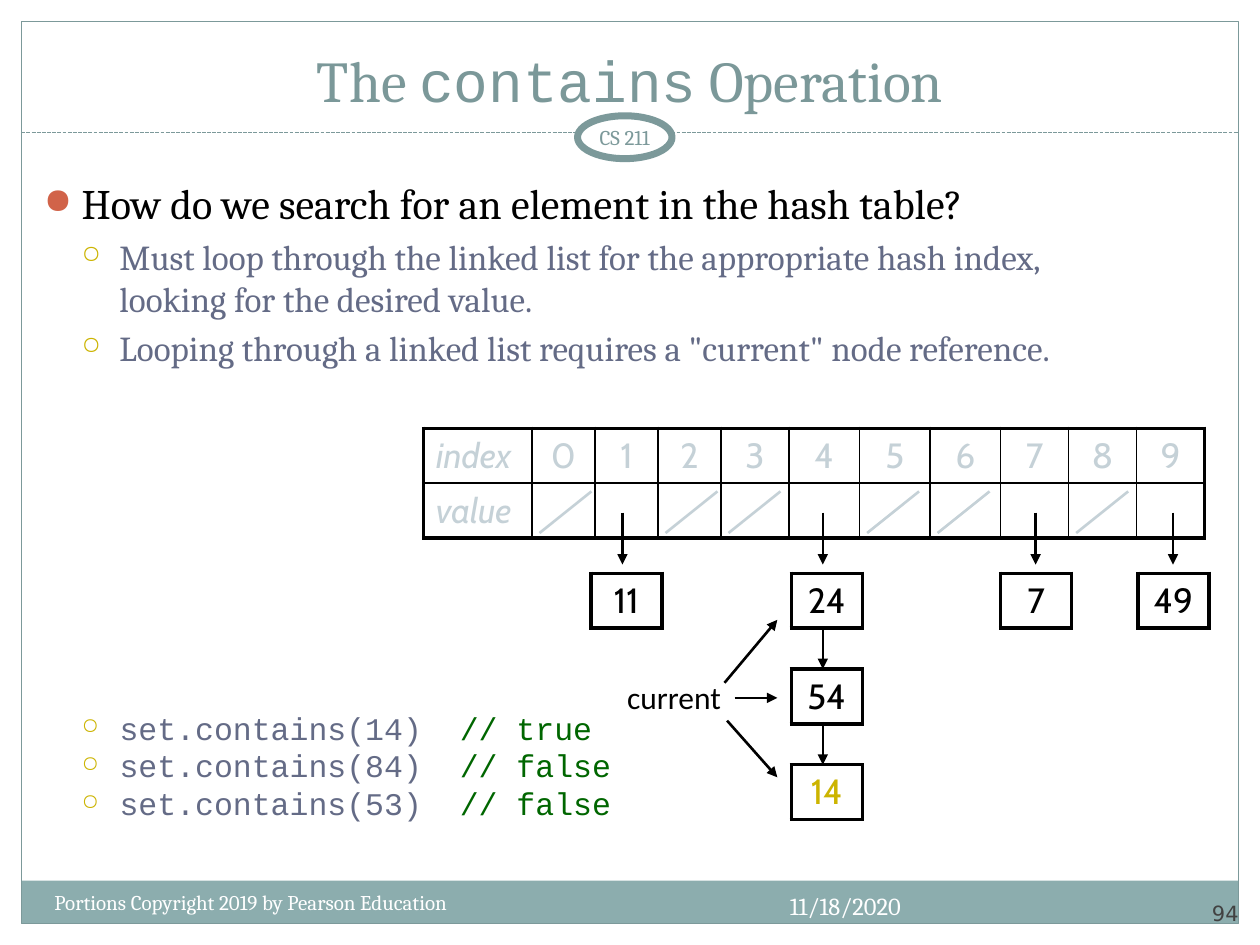
from lxml import etree
from pptx import Presentation
from pptx.dml.color import RGBColor
from pptx.enum.dml import MSO_LINE
from pptx.enum.shapes import MSO_CONNECTOR, MSO_SHAPE
from pptx.enum.text import MSO_ANCHOR, PP_ALIGN
from pptx.oxml.ns import qn
from pptx.util import Pt

STRAIGHT = MSO_CONNECTOR.STRAIGHT
RECTANGLE, OVAL = MSO_SHAPE.RECTANGLE, MSO_SHAPE.OVAL
DASH = MSO_LINE.SQUARE_DOT
LEFT, CENTER, RIGHT = PP_ALIGN.LEFT, PP_ALIGN.CENTER, PP_ALIGN.RIGHT
TOP, MIDDLE, BOTTOM = MSO_ANCHOR.TOP, MSO_ANCHOR.MIDDLE, MSO_ANCHOR.BOTTOM

BLACK, WHITE, SAGE, TITLE_SAGE, BAND = "000000", "FFFFFF", "7C999A", "7B9899", "8CADAE"
SLATE, GOLD, RUST, PALE, GREEN, GRAY = "646B86", "CCB400", "D16349", "C5D1D7", "006600", "424242"
SERIF, MONO, ROUND = "Cambria", "Courier New", "Cabin"

COLUMNS = [62] + [36] * 3 + [38.9] + [40.3] * 3 + [38.9] * 3
ROW = 31.3
NODE_WIDTH = 40.5
EMPTY_BUCKETS = [0, 2, 3, 5, 6, 8]
CHAINS = [(113.7, 18, ["11"]), (228.2, 18, ["24", "54", "14"]),
          (349.8, 20, ["7"]), (428.3, 20, ["49"])]
CALLS = [("set.contains(14)", "  // true"), ("set.contains(84)", "  // false"),
         ("set.contains(53)", "  // false")]


def rgb(value):
    """Return the colour for a hex string."""
    return RGBColor.from_string(value)


def style(runs, size, font, color, italic=False):
    """Format a sequence of runs alike."""
    for run in runs:
        run.font.size, run.font.name, run.font.italic = Pt(size), font, italic
        run.font.color.rgb = rgb(color)


def add_text(slide, box, words, size, font, color, align=LEFT, anchor=TOP, inset=(7.2, 3.6), wrap=True):
    """Add a text box with one paragraph and return its frame."""
    frame = slide.shapes.add_textbox(*map(Pt, box)).text_frame
    frame.word_wrap, frame.vertical_anchor = wrap, anchor
    frame.margin_left = frame.margin_right = Pt(inset[0])
    frame.margin_top = frame.margin_bottom = Pt(inset[1])
    frame.text = words
    frame.paragraphs[0].alignment = align
    style(frame.paragraphs[0].runs, size, font, color)
    return frame


def add_panel(slide, kind, box, fill=None, line=None, width=0.75):
    """Add a flat shape with an optional fill and outline."""
    panel = slide.shapes.add_shape(kind, *map(Pt, box))
    panel.shadow.inherit = False
    if fill:
        panel.fill.solid()
        panel.fill.fore_color.rgb = rgb(fill)
    else:
        panel.fill.background()
    if line:
        panel.line.color.rgb, panel.line.width = rgb(line), Pt(width)
    else:
        panel.line.fill.background()


def add_line(slide, start, end, color=BLACK, width=1.5, arrow=False):
    """Add a straight line, with an arrowhead if asked, and return it."""
    link = slide.shapes.add_connector(STRAIGHT, *map(Pt, start + end))
    link.line.color.rgb, link.line.width = rgb(color), Pt(width)
    if arrow:
        etree.SubElement(link.line._get_or_add_ln(), qn("a:tailEnd"), type="triangle")
    etree.SubElement(link._element.spPr, qn("a:effectLst"))
    return link


def add_bullet(paragraph, mark, color, percent, indent):
    """Give a paragraph a coloured bullet and a hanging indent."""
    props = paragraph._p.get_or_add_pPr()
    props.set("marL", str(Pt(indent)))
    props.set("indent", str(-Pt(21.6)))
    tint = etree.SubElement(props, qn("a:buClr"))
    etree.SubElement(tint, qn("a:srgbClr"), val=color)
    etree.SubElement(props, qn("a:buSzPct"), val=str(percent * 1000))
    etree.SubElement(props, qn("a:buChar"), char=mark)


def set_borders(cell, widths):
    """Draw black left, right, top and bottom borders of the given widths."""
    props = cell._tc.get_or_add_tcPr()
    for place, (side, width) in enumerate(zip(("lnL", "lnR", "lnT", "lnB"), widths)):
        edge = etree.Element(qn("a:" + side), w=str(Pt(width)))
        fill = etree.SubElement(edge, qn("a:solidFill"))
        etree.SubElement(fill, qn("a:srgbClr"), val=BLACK)
        props.insert(place, edge)


def add_grid(slide, left, top, columns, rows, color):
    """Add an unfilled table with a heavy frame and thin inner lines."""
    grid = slide.shapes.add_table(len(rows), len(columns), Pt(left), Pt(top),
                                  Pt(sum(columns)), Pt(ROW * len(rows))).table
    grid.first_row = grid.horz_banding = False
    last_row, last_column = len(rows) - 1, len(columns) - 1
    for column, width in zip(grid.columns, columns):
        column.width = Pt(width)
    for r, entries in enumerate(rows):
        grid.rows[r].height = Pt(ROW)
        for c, entry in enumerate(entries):
            cell = grid.cell(r, c)
            label = entry.isalpha()
            cell.text = entry
            cell.fill.background()
            cell.text_frame.paragraphs[0].alignment = LEFT if label else CENTER
            style(cell.text_frame.paragraphs[0].runs, 20, ROUND, color, label)
            outer = (c == 0, c == last_column, r == 0, r == last_row)
            set_borders(cell, [2.25 if edge else 1 for edge in outer])


def draw_frame(slide, left, top, width, height):
    """Draw the page border, title rule, course badge and footer."""
    band = 24.5
    add_panel(slide, RECTANGLE, (left, top + height - band, width, band), BAND)
    add_panel(slide, RECTANGLE, (left, top, width, height), line=SAGE)
    rule = add_line(slide, (left, top + 63.4), (left + width, top + 63.4), SAGE, 0.75)
    rule.line.dash_style = DASH
    add_panel(slide, OVAL, (left + 317.8, top + 54, 54, 24.5), WHITE, SAGE, 4)
    add_text(slide, (left + 311.8, top + 54, 66, 24), "CS 211", 12, SERIF, SAGE, CENTER, MIDDLE, (3.6, 3.6))
    add_text(slide, (left + 11.8, top + 492.5, 293.8, 28.8),
             "Portions Copyright 2019 by Pearson Education", 12, SERIF, WHITE)
    add_text(slide, (left + 390.3, top + 493.2, 119.5, 28.8), "11/18/2020", 14, SERIF, WHITE, RIGHT)
    add_text(slide, (left + width - 60, top + 488.2, 60, 28.8), "94", 12, "DejaVu Sans", GRAY, RIGHT, BOTTOM, (0, 0))


def draw_title(slide, *box):
    """Write the title with its operation name in code type."""
    heading = add_text(slide, box, "The ", 33, SERIF, TITLE_SAGE, CENTER, BOTTOM).paragraphs[0]
    for words, font in (("contains", MONO), (" Operation", SERIF)):
        run = heading.add_run()
        run.text = words
        style([run], 33, font, TITLE_SAGE)


def draw_points(slide, *box):
    """Write the question and its two answers."""
    frame = add_text(slide, box, "How do we search for an element in the hash table?", 24, SERIF, BLACK)
    add_bullet(frame.paragraphs[0], "●", RUST, 85, 21.6)
    for answer in ("Must loop through the linked list for the appropriate hash index,\vlooking for the desired value.",
                   'Looping through a linked list requires a "current" node reference.'):
        point = frame.add_paragraph()
        point.text, point.level, point.space_before = answer, 1, Pt(4)
        add_bullet(point, "○", GOLD, 70, 43.2)
        style(point.runs, 20, SERIF, SLATE)


def draw_calls(slide, *box):
    """List the sample calls with their results as comments."""
    frame = add_text(slide, box, CALLS[0][0], 18, MONO, SLATE)
    for i, (call, result) in enumerate(CALLS):
        line = frame.add_paragraph() if i else frame.paragraphs[0]
        line.text, line.level, line.line_spacing = call, 1, 0.8
        if i:
            line.space_before = Pt(4.4)
        add_bullet(line, "○", GOLD, 70, 43.2)
        style(line.runs, 18, MONO, SLATE)
        comment = line.add_run()
        comment.text = result
        style([comment], 18, MONO, GREEN)


def draw_hash_table(slide, left, top):
    """Draw the bucket table, its chains of nodes and the current pointer."""
    rows = [["index"] + [str(i) for i in range(10)], ["value"] + [""] * 10]
    add_grid(slide, left, top, COLUMNS, rows, PALE)
    for bucket in EMPTY_BUCKETS:
        x = left + sum(COLUMNS[:bucket + 1]) + 4.3
        add_line(slide, (x + 29.7, top + 36), (x, top + 59.8), PALE)
    for offset, overhang, values in CHAINS:
        x = left + offset
        add_line(slide, (x, top + 48.2), (x, top + 77.8), arrow=True)
        for i, value in enumerate(values):
            y = top + 82.8 + 54.7 * i
            add_grid(slide, x - overhang, y, [NODE_WIDTH], [[value]], GOLD if value == "14" else BLACK)
            if i:
                add_line(slide, (x, y - 24.5), (x, y), arrow=True)
    add_text(slide, (left + 108.7, top + 139, 68.4, 28.8), "current", 18, "Calibri", BLACK, RIGHT, wrap=False)
    for dx, dy, target in ((172, 145.4, 109.4), (177.8, 154, 154), (173.5, 167, 199.4)):
        add_line(slide, (left + dx, top + dy), (left + 202.2, top + target), arrow=True)


def main():
    """Build and save the slide."""
    deck = Presentation()
    deck.slide_width, deck.slide_height = Pt(720), Pt(540)
    slide = deck.slides.add_slide(deck.slide_layouts[6])
    draw_frame(slide, 12.2, 12.2, 695.6, 515.6)
    draw_title(slide, 24, 18, 672, 51)
    draw_points(slide, 18, 98, 684, 120)
    draw_calls(slide, 18, 405.5, 342, 70)
    draw_hash_table(slide, 242, 244.8)
    deck.save("out.pptx")


if __name__ == "__main__":
    main()
